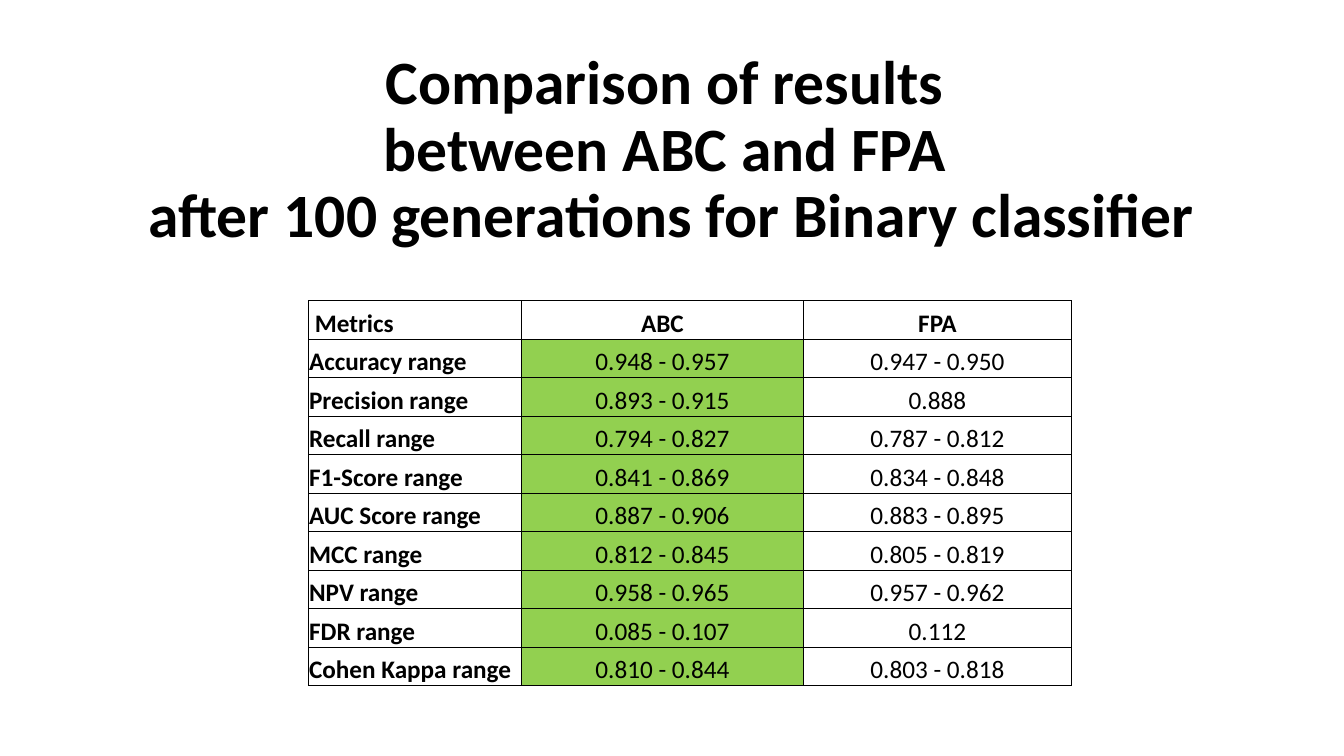
from lxml.etree import SubElement
from pptx import Presentation
from pptx.dml.color import RGBColor as Rgb
from pptx.enum.text import MSO_ANCHOR as Anchor, PP_ALIGN as Align
from pptx.oxml.ns import qn
from pptx.util import Cm, Pt

COLORS = {"text": "000000", "border": "000000", "best": "92D050"}
TITLE = "Comparison of results \vbetween ABC and FPA \vafter 100 generations for Binary classifier"
ROWS = [
    (" Metrics", "ABC", "FPA"),
    ("Accuracy range", "0.948 - 0.957", "0.947 - 0.950"),
    ("Precision range", "0.893 - 0.915", "0.888"),
    ("Recall range", "0.794 - 0.827", "0.787 - 0.812"),
    ("F1-Score range", "0.841 - 0.869", "0.834 - 0.848"),
    ("AUC Score range", "0.887 - 0.906", "0.883 - 0.895"),
    ("MCC range", "0.812 - 0.845", "0.805 - 0.819"),
    ("NPV range", "0.958 - 0.965", "0.957 - 0.962"),
    ("FDR range", "0.085 - 0.107", "0.112"),
    ("Cohen Kappa range", "0.810 - 0.844", "0.803 - 0.818"),
]
COLUMN_WIDTHS = [5.37, 7.11, 6.75]
ROW_HEIGHT = 0.97
CELL_FORMAT = {
    "margin_left": Cm(0.02),
    "margin_right": Cm(0.02),
    "margin_top": Cm(0.02),
    "margin_bottom": Cm(0),
    "vertical_anchor": Anchor.BOTTOM,
}


def write(para, text, size, bold, align):
    para.text = text
    para.alignment = align
    for span in para.runs:
        font_format = {"name": "Calibri", "size": Pt(size), "bold": bold}
        for name, value in font_format.items():
            setattr(span.font, name, value)
        span.font.color.rgb = Rgb.from_string(COLORS["text"])


def add_borders(cell):
    properties = cell._tc.get_or_add_tcPr()
    for side in ("lnL", "lnR", "lnT", "lnB"):
        line = SubElement(properties, qn(f"a:{side}"), w=str(Pt(0.5)))
        fill = SubElement(line, qn("a:solidFill"))
        SubElement(fill, qn("a:srgbClr"), val=COLORS["border"])


# Page
deck = Presentation()
deck.slide_width, deck.slide_height = Cm(33.87), Cm(19.05)
page = deck.slides.add_slide(deck.slide_layouts[6])

# Title
box = page.shapes.add_textbox(Cm(2.33), Cm(1.01), Cm(29.21), Cm(5.61))
frame = box.text_frame
frame.word_wrap = True
frame.vertical_anchor = Anchor.MIDDLE
heading = frame.paragraphs[0]
heading.line_spacing = 0.9
write(heading, TITLE, 44, True, Align.CENTER)

# Results table
table = page.shapes.add_table(
    len(ROWS), len(COLUMN_WIDTHS), Cm(7.77), Cm(7.57),
    Cm(sum(COLUMN_WIDTHS)), Cm(ROW_HEIGHT * len(ROWS)),
).table
table.first_row = table.horz_banding = False
for column, width in zip(table.columns, COLUMN_WIDTHS):
    column.width = Cm(width)

for row_index, values in enumerate(ROWS):
    table.rows[row_index].height = Cm(ROW_HEIGHT)
    for column_index, value in enumerate(values):
        cell = table.cell(row_index, column_index)
        for name, setting in CELL_FORMAT.items():
            setattr(cell, name, setting)
        is_label = row_index == 0 or column_index == 0
        align = Align.LEFT if column_index == 0 else Align.CENTER
        write(cell.text_frame.paragraphs[0], value, 18, is_label, align)
        add_borders(cell)
        # The better method stands out in green
        if column_index == 1 and row_index > 0:
            cell.fill.solid()
            cell.fill.fore_color.rgb = Rgb.from_string(COLORS["best"])
        else:
            cell.fill.background()

deck.save("out.pptx")
